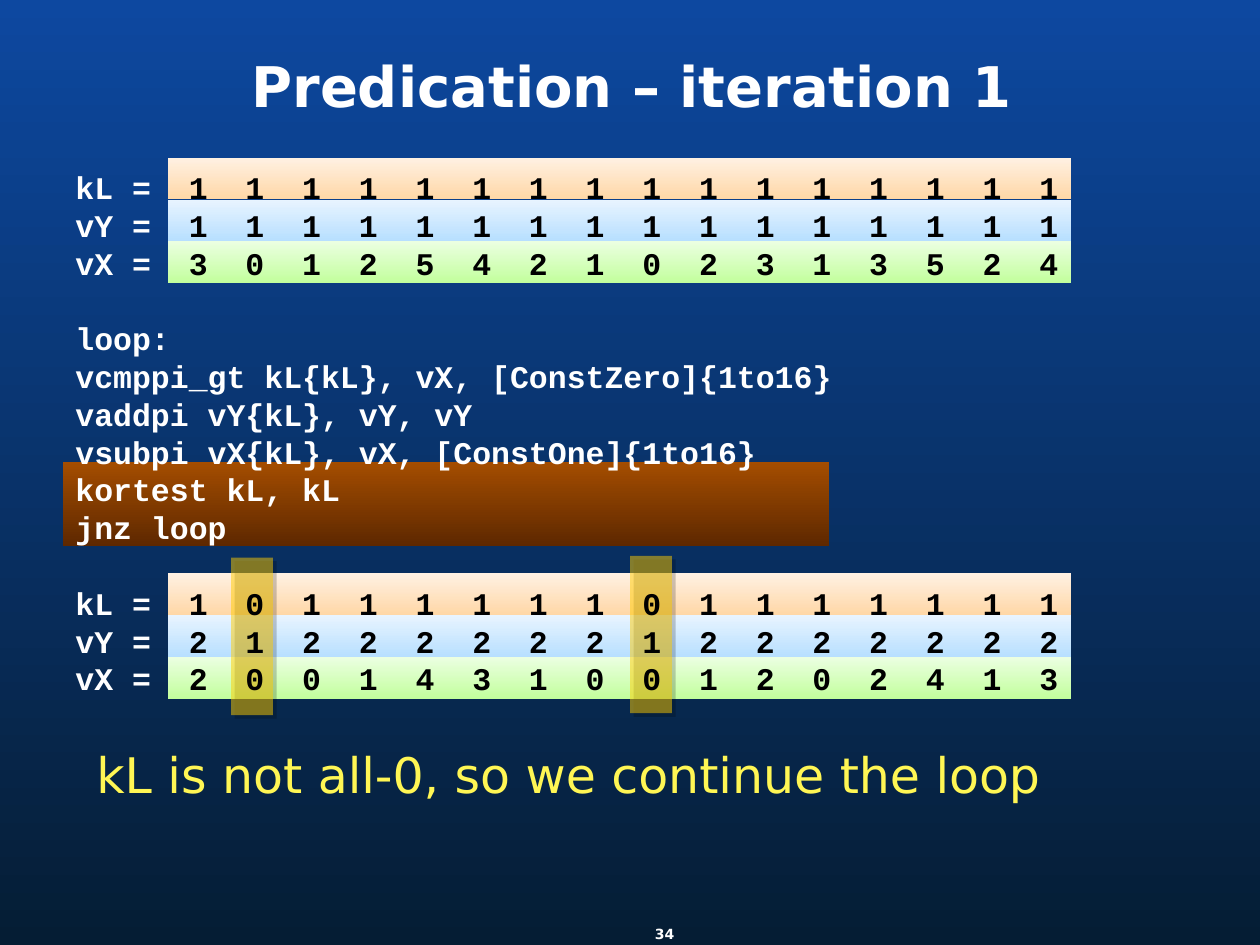
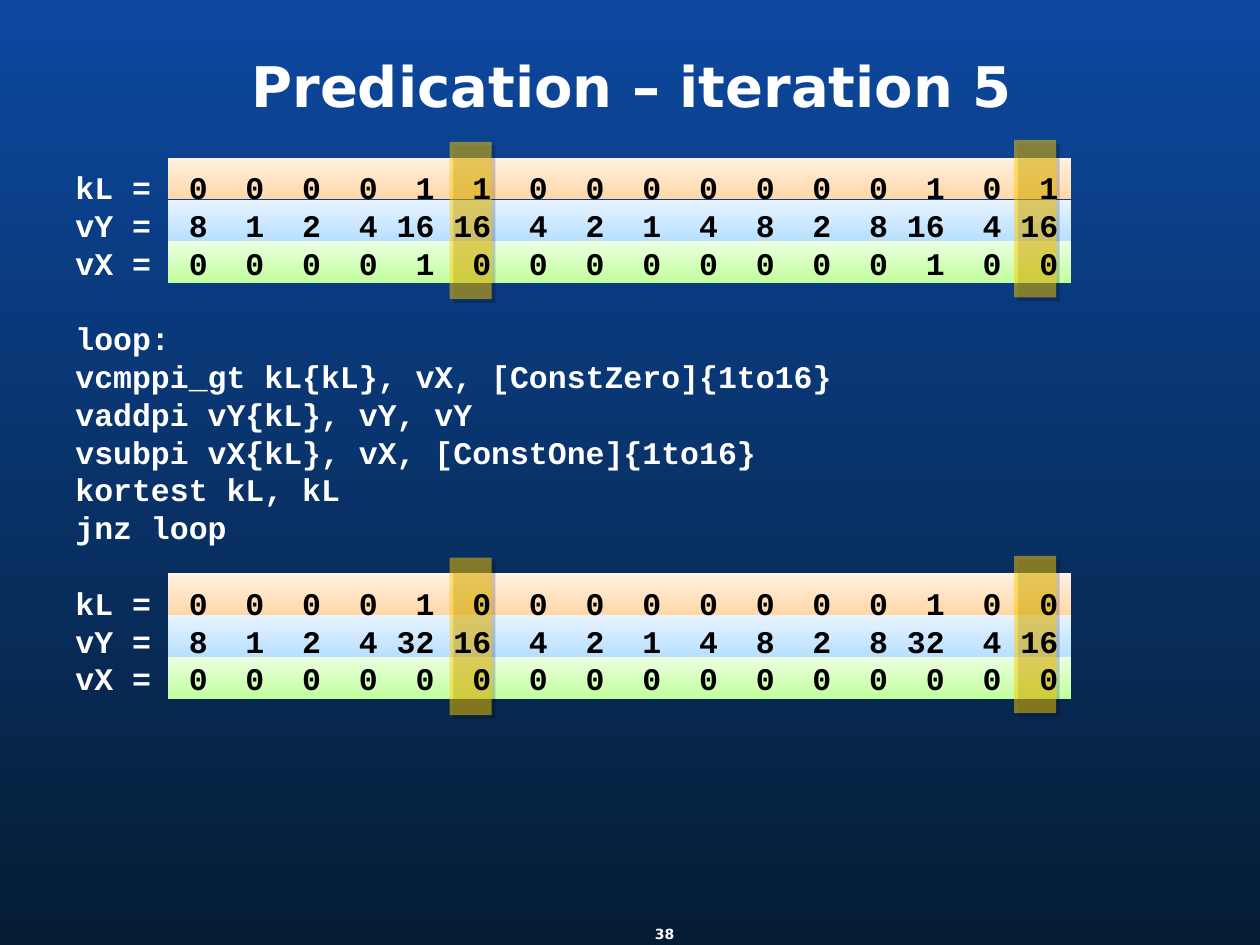
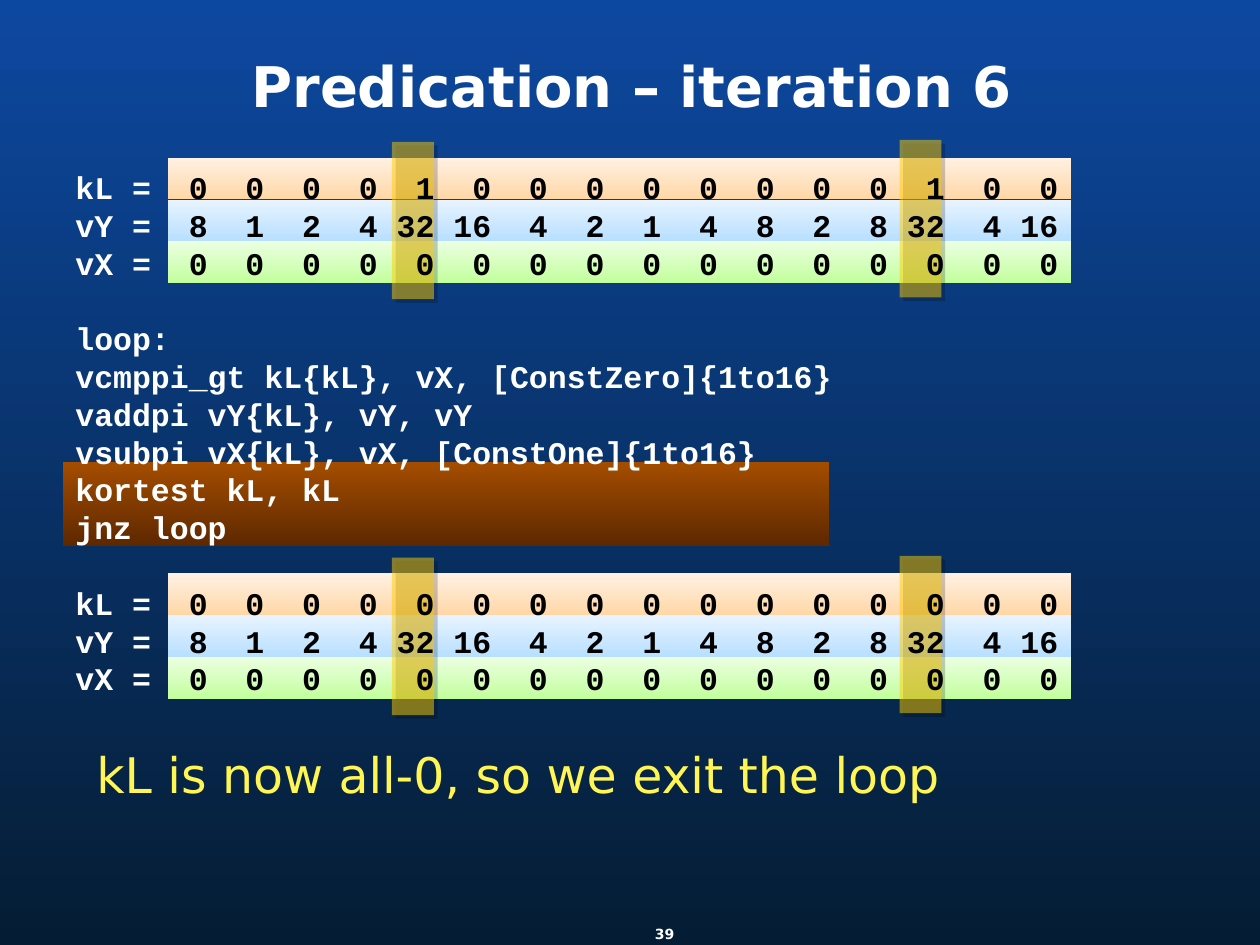
import pptx
import pptx.util
import pptx.dml.color
import pptx.enum.shapes
import pptx.enum.text
import pptx.oxml
import pptx.oxml.ns
import lxml.etree

Pt = pptx.util.Pt
RGB = pptx.dml.color.RGBColor
ALIGN = pptx.enum.text.PP_ALIGN
ANCHOR = pptx.enum.text.MSO_ANCHOR
qn = pptx.oxml.ns.qn

CODE = [
    "loop:",
    "vcmppi_gt kL{kL}, vX, [ConstZero]{1to16}",
    "vaddpi vY{kL}, vY, vY",
    "vsubpi vX{kL}, vX, [ConstOne]{1to16}",
    "kortest kL, kL",
    "jnz loop",
]
NAMES = ["kL =", "vY =", "vX ="]
SLIDES = [
    {
        "title": "Predication – iteration 1",
        "page": "34",
        "top": ["1 1 1 1 1 1 1 1 1 1 1 1 1 1 1 1",
                "1 1 1 1 1 1 1 1 1 1 1 1 1 1 1 1",
                "3 0 1 2 5 4 2 1 0 2 3 1 3 5 2 4"],
        "end": ["1 0 1 1 1 1 1 1 0 1 1 1 1 1 1 1",
                "2 1 2 2 2 2 2 2 1 2 2 2 2 2 2 2",
                "2 0 0 1 4 3 1 0 0 1 2 0 2 4 1 3"],
        "marks": [132, 360],
        "both": False,
        "note": "kL is not all-0, so we continue the loop",
    },
    {
        "title": "Predication – iteration 5",
        "page": "38",
        "top": ["0 0 0 0 1 1 0 0 0 0 0 0 0 1 0 1",
                "8 1 2 4 16 16 4 2 1 4 8 2 8 16 4 16",
                "0 0 0 0 1 0 0 0 0 0 0 0 0 1 0 0"],
        "end": ["0 0 0 0 1 0 0 0 0 0 0 0 0 1 0 0",
                "8 1 2 4 32 16 4 2 1 4 8 2 8 32 4 16",
                "0 0 0 0 0 0 0 0 0 0 0 0 0 0 0 0"],
        "marks": [257, 579.5],
        "both": True,
        "note": None,
    },
    {
        "title": "Predication – iteration 6",
        "page": "39",
        "top": ["0 0 0 0 1 0 0 0 0 0 0 0 0 1 0 0",
                "8 1 2 4 32 16 4 2 1 4 8 2 8 32 4 16",
                "0 0 0 0 0 0 0 0 0 0 0 0 0 0 0 0"],
        "end": ["0 0 0 0 0 0 0 0 0 0 0 0 0 0 0 0",
                "8 1 2 4 32 16 4 2 1 4 8 2 8 32 4 16",
                "0 0 0 0 0 0 0 0 0 0 0 0 0 0 0 0"],
        "marks": [224, 514],
        "both": True,
        "note": "kL is now all-0, so we exit the loop",
    },
]

WHITE = RGB(0xFF, 0xFF, 0xFF)
BLACK = RGB(0, 0, 0)
GOLD = RGB(0xFF, 0xCC, 0x00)
LEMON = RGB(0xFF, 0xF6, 0x54)
NAVY = (RGB(0x05, 0x1D, 0x34), RGB(0x0D, 0x48, 0xA0))
BROWN = (RGB(0x5E, 0x28, 0x00), RGB(0xA4, 0x4D, 0x00))
BANDS = [
    (RGB(0xFF, 0xD7, 0xA6), RGB(0xFF, 0xF1, 0xE3)),
    (RGB(0xB7, 0xDF, 0xFF), RGB(0xE8, 0xF4, 0xFF)),
    (RGB(0xC2, 0xFF, 0x9C), RGB(0xEB, 0xFF, 0xE1)),
]
SANS = "DejaVu Sans"
MONO = "Courier New"
CHAR = 10.8
LINE = 21.6
BAND = 24
TOP, END = 90, 327.6


def blend(fill, pair):
    fill.gradient()
    fill.gradient_angle = 90
    for stop, hue in zip(fill.gradient_stops, pair):
        stop.color.rgb = hue


def add_rect(slide, left, top, width, height):
    rect = slide.shapes.add_shape(
        pptx.enum.shapes.MSO_SHAPE.RECTANGLE,
        Pt(left), Pt(top), Pt(width), Pt(height))
    rect.shadow.inherit = False
    rect.line.fill.background()
    return rect


def add_mark(slide, left, top):
    mark = add_rect(slide, left, top, 24, 90)
    mark.fill.solid()
    mark.fill.fore_color.rgb = GOLD
    props = mark._element.spPr
    hue = props.find(qn("a:solidFill"))[0]
    lxml.etree.SubElement(hue, qn("a:alpha"), val="50000")
    glow = lxml.etree.SubElement(
        props.find(qn("a:effectLst")), qn("a:outerShdw"),
        blurRad="0", dist=str(Pt(3)), dir="2700000", algn="tl", rotWithShape="0")
    shade = lxml.etree.SubElement(glow, qn("a:srgbClr"), val="000000")
    lxml.etree.SubElement(shade, qn("a:alpha"), val="40000")


def style(run, size, hue, font, bold):
    run.font.size = Pt(size)
    run.font.name = font
    run.font.bold = bold
    run.font.color.rgb = hue


def add_box(slide, left, top, width, height, pads=(7.2, 3.6)):
    box = slide.shapes.add_textbox(Pt(left), Pt(top), Pt(width), Pt(height))
    frame = box.text_frame
    frame.word_wrap = True
    frame.margin_left = frame.margin_right = Pt(pads[0])
    frame.margin_top = frame.margin_bottom = Pt(pads[1])
    return frame


def add_line(slide, place, text, size, hue, bold=True, mid=True, pads=(7.2, 3.6)):
    frame = add_box(slide, *place, pads)
    frame.text = text
    para = frame.paragraphs[0]
    para.line_spacing = 0.9
    if mid:
        frame.vertical_anchor = ANCHOR.MIDDLE
        para.alignment = ALIGN.CENTER
    style(para.runs[0], size, hue, SANS, bold)


def add_tabs(para):
    tabs = lxml.etree.SubElement(para._p.get_or_add_pPr(), qn("a:tabLst"))
    for col in range(16):
        stop = CHAR * (7 + 3 * col)
        lxml.etree.SubElement(tabs, qn("a:tab"), pos=str(Pt(stop)), algn="r")


def add_code(slide, data):
    rows = [*zip(NAMES, data["top"]), *((line, None) for line in CODE),
            *zip(NAMES, data["end"])]
    starts = (len(NAMES), len(NAMES) + len(CODE))
    frame = add_box(slide, 36, TOP, 648, 336, (7.2, 6))
    for i, (head, nums) in enumerate(rows):
        para = frame.add_paragraph() if i else frame.paragraphs[0]
        para.text = head
        para.line_spacing = Pt(LINE)
        if i in starts:
            para.space_before = Pt(LINE)
        style(para.runs[0], 18, WHITE, MONO, True)
        if nums:
            add_tabs(para)
            run = para.add_run()
            run.text = "".join("\t" + num for num in nums.split())
            style(run, 18, BLACK, MONO, True)


def add_slide(deck, data):
    slide = deck.slides.add_slide(deck.slide_layouts[6])
    blend(slide.background.fill, NAVY)
    add_line(slide, (363.6, 522, 32.4, 24), data["page"], 8, WHITE, pads=(0, 0))
    if data["note"]:
        blend(add_rect(slide, 36, 264, 438, 48).fill, BROWN)
    for top in (TOP, END):
        for i, pair in enumerate(BANDS):
            blend(add_rect(slide, 96, top + i * BAND, 516, BAND).fill, pair)
    for top in (TOP, END) if data["both"] else (END,):
        for i, left in enumerate(data["marks"]):
            add_mark(slide, left, top - 9 - i)
    add_code(slide, data)
    add_line(slide, (30, 18, 662.4, 66), data["title"], 32, WHITE)
    if data["note"]:
        add_line(slide, (48, 426, 618, 66), data["note"], 28, LEMON, False, False)


def main():
    deck = pptx.Presentation()
    deck.slide_width, deck.slide_height = Pt(720), Pt(540)
    for data in SLIDES:
        add_slide(deck, data)
    deck.save("out.pptx")


if __name__ == "__main__":
    main()
